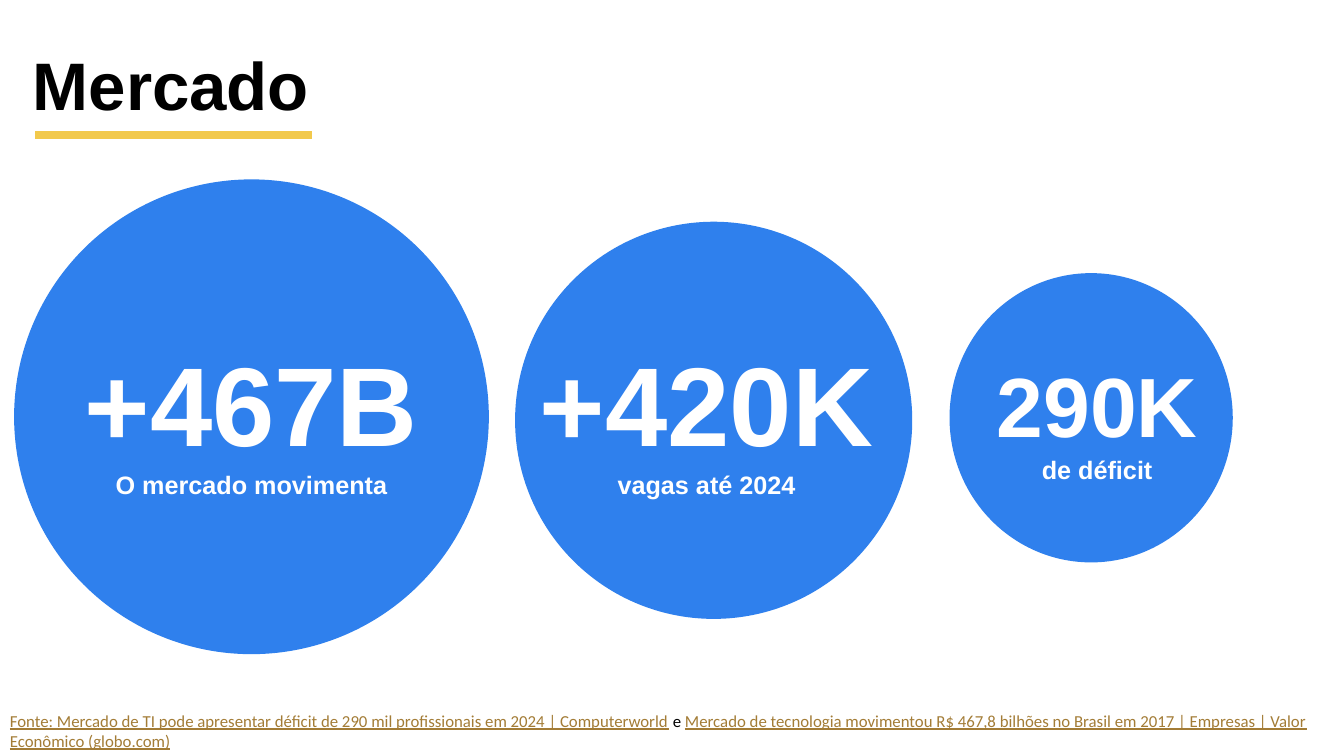
import pptx
import pptx.dml.color
import pptx.enum.shapes
import pptx.enum.text
import pptx.oxml.ns
import pptx.util
from lxml import etree

# The slide is a grid of 40 columns by 22.5 rows of square cells
SLIDE_WIDTH = pptx.util.Inches(13.33)
SLIDE_HEIGHT = pptx.util.Inches(7.5)
COLUMNS, ROWS = 40, 22.5

BLUE, YELLOW, BROWN = "2F80ED", "F2C94C", "A37C36"
BLACK, WHITE = "000000", "FFFFFF"
ALIGN = pptx.enum.text.PP_ALIGN
ANCHOR = pptx.enum.text.MSO_ANCHOR

# Each figure: value, value size, caption, circle and label in grid cells
FIGURES = [
    ("+467B", 80, "O mercado movimenta", (0.42, 5.34, 14.13, 14.13), (2.16, 9.81, 10.65, 6.15)),
    ("+420K", 80, "vagas até 2024", (15.33, 6.6, 11.82, 11.82), (15.54, 9.81, 10.98, 6.15)),
    ("290K", 60, "de déficit", (28.26, 8.13, 8.43, 8.61), (28.26, 10.38, 8.79, 4.23)),
]


def color(code):
    return pptx.dml.color.RGBColor.from_string(code)


def cols(count):
    return round(SLIDE_WIDTH * count / COLUMNS)


def rows(count):
    return round(SLIDE_HEIGHT * count / ROWS)


def grid(left, top, width, height):
    return cols(left), rows(top), cols(width), rows(height)


def add_circle(slide, cells):
    circle = slide.shapes.add_shape(pptx.enum.shapes.MSO_SHAPE.OVAL, *grid(*cells))
    circle.shadow.inherit = False
    circle.fill.solid()
    circle.fill.fore_color.rgb = color(BLUE)
    circle.line.fill.background()


def add_rule(slide, left, right, row, tint, weight):
    rule = slide.shapes.add_connector(
        pptx.enum.shapes.MSO_CONNECTOR.STRAIGHT, cols(left), rows(row), cols(right), rows(row))
    rule.line.color.rgb = color(tint)
    rule.line.width = pptx.util.Pt(weight)
    etree.SubElement(rule._element.spPr, pptx.oxml.ns.qn("a:effectLst"))


def add_box(slide, cells, anchor=ANCHOR.TOP):
    frame = slide.shapes.add_textbox(*grid(*cells)).text_frame
    frame.word_wrap = True
    frame.vertical_anchor = anchor
    return frame


def write(paragraph, text, size, tint, font="Arial", bold=False, underline=False,
          align=ALIGN.LEFT):
    paragraph.alignment = align
    run = paragraph.add_run()
    run.text = text
    run.font.name = font
    run.font.size = pptx.util.Pt(size)
    run.font.bold = bold
    run.font.underline = underline
    run.font.color.rgb = color(tint)


def add_figure(slide, value, size, caption, circle, label):
    add_circle(slide, circle)
    frame = add_box(slide, label)
    style = {"tint": WHITE, "bold": True, "align": ALIGN.CENTER}
    write(frame.paragraphs[0], value, size, **style)
    write(frame.add_paragraph(), caption, 18, **style)


def add_sources(slide):
    line = add_box(slide, (0, 21, 40, 1.5)).paragraphs[0]
    source = {"size": 12, "tint": BROWN, "font": "Calibri", "underline": True}
    write(line, "Fonte: Mercado de TI pode apresentar déficit de 290 mil profissionais "
                "em 2024 | Computerworld", **source)
    write(line, " e ", 12, BLACK, font="Calibri")
    write(line, "Mercado de tecnologia movimentou R$ 467,8 bilhões no Brasil em 2017 "
                "| Empresas | Valor Econômico (globo.com)", **source)


def main():
    deck = pptx.Presentation()
    deck.slide_width, deck.slide_height = SLIDE_WIDTH, SLIDE_HEIGHT
    slide = deck.slides.add_slide(deck.slide_layouts[6])

    # Heading with its underline
    heading = add_box(slide, (0.06, 0.48, 10.05, 4.35), ANCHOR.MIDDLE).paragraphs[0]
    heading.line_spacing = 0.9
    write(heading, "Mercado", 48, BLACK, bold=True, align=ALIGN.CENTER)
    add_rule(slide, 1.05, 9.3, 4.02, YELLOW, 6)

    # Market figures
    for figure in FIGURES:
        add_figure(slide, *figure)

    # Sources
    add_sources(slide)
    deck.save("out.pptx")


if __name__ == "__main__":
    main()
